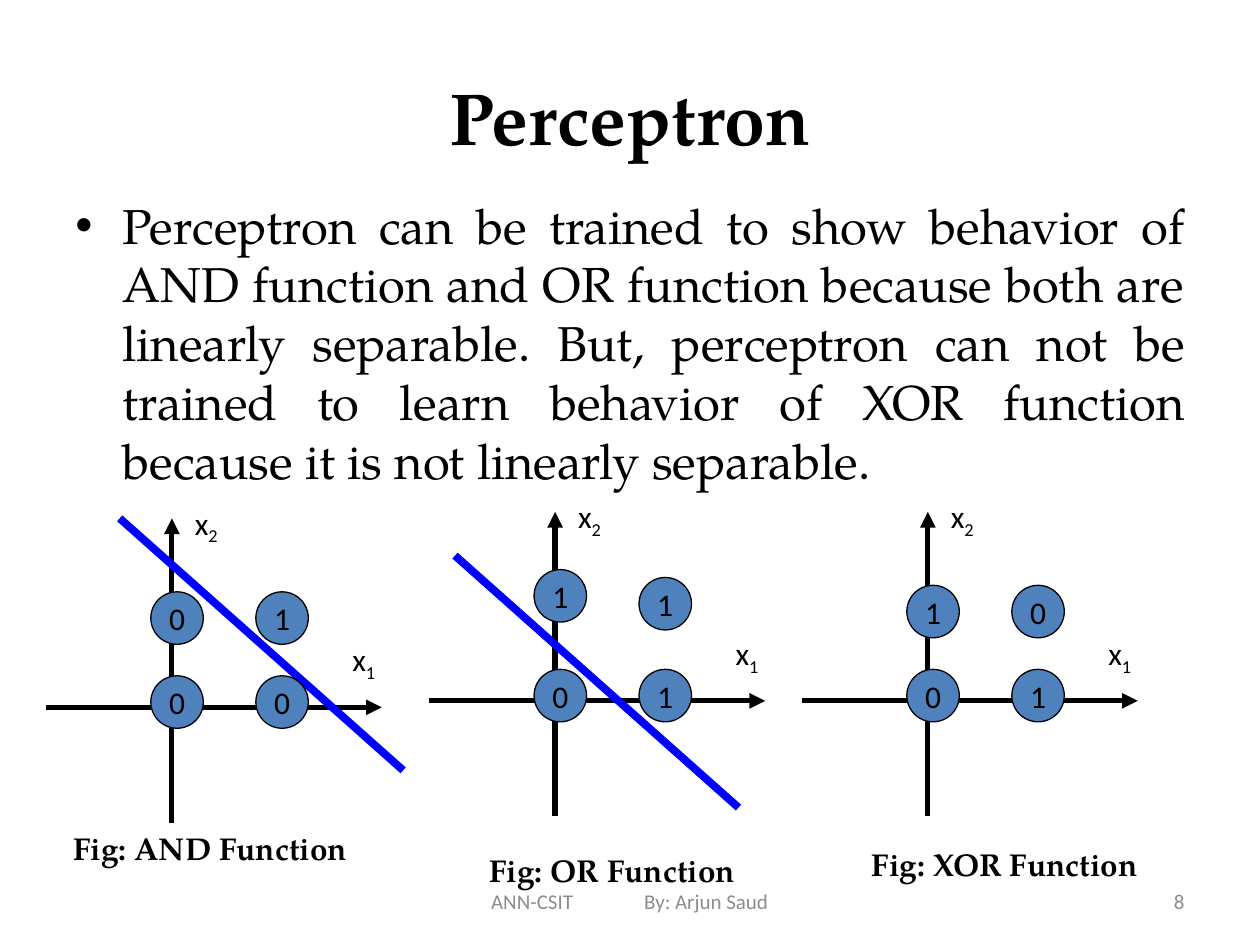
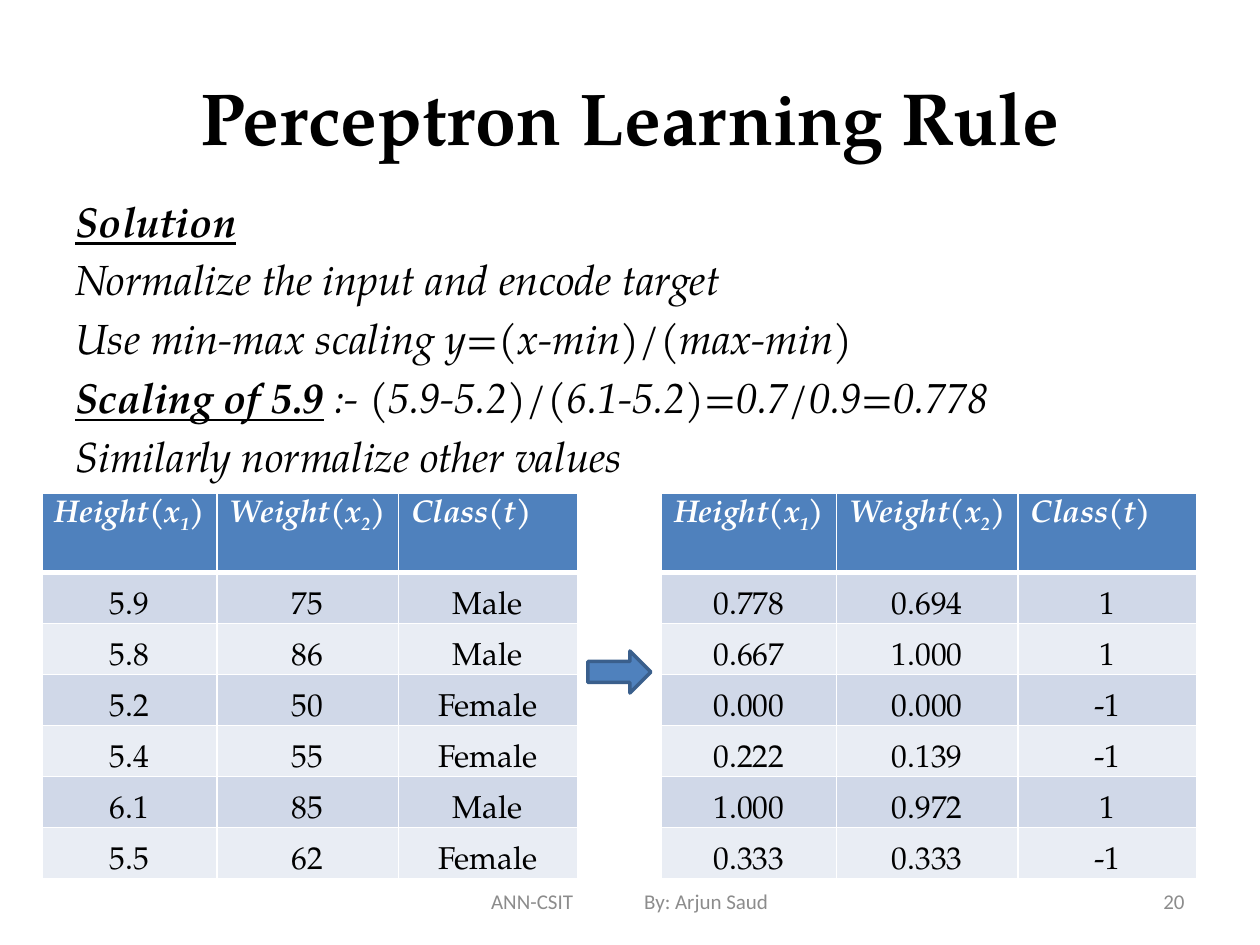
import pptx
import pptx.dml.color
import pptx.enum.shapes
import pptx.enum.text
import pptx.oxml
import pptx.oxml.ns
import pptx.util

Pt = pptx.util.Pt
RGBColor = pptx.dml.color.RGBColor
ALIGN = pptx.enum.text.PP_ALIGN
ANCHOR = pptx.enum.text.MSO_ANCHOR
SHAPE = pptx.enum.shapes.MSO_SHAPE

BLACK = RGBColor(0x00, 0x00, 0x00)
WHITE = RGBColor(0xFF, 0xFF, 0xFF)
GRAY = RGBColor(0x8C, 0x8C, 0x8C)
ACCENT = RGBColor(0x4F, 0x81, 0xBD)
ACCENT_DARK = RGBColor(0x3A, 0x5F, 0x8C)
BOUNDARY_BLUE = RGBColor(0x00, 0x00, 0xFF)
BANDS = (RGBColor(0xD0, 0xD8, 0xE8), RGBColor(0xE9, 0xED, 0xF4))

SERIF = "TeX Gyre Pagella"
SANS = "Calibri"
BODY_BOX = (36, 108, 648, 396)
COLUMN_WIDTHS = (100, 103.7, 102.2)
HEADER_HEIGHT = 45
ROW_HEIGHT = 29.2
HEADERS = (("Height(x", "1", ")"), ("Weight(x", "2", ")"), ("Class(t)",))


def points(*lengths):
    return [Pt(length) for length in lengths]


def add_xml(parent, tag, index=None, **attributes):
    """Add a DrawingML child, at the end unless an index is given."""
    child = pptx.oxml.parse_xml(f"<a:{tag} {pptx.oxml.ns.nsdecls('a')}/>")
    for name, value in attributes.items():
        child.set(name, str(value))
    parent.insert(len(parent) if index is None else index, child)
    return child


def set_font(font, name, size, color=BLACK, bold=False, italic=False):
    font.name, font.size = name, Pt(size)
    font.bold, font.italic = bold, italic
    font.color.rgb = color


def add_runs(paragraph, texts):
    """Write the texts as runs, every second one as a subscript."""
    for position, text in enumerate(texts):
        run = paragraph.add_run()
        run.text = text
        if position % 2:
            run.font._element.set("baseline", "-25000")


def add_text_box(slide, box, wrap=True, anchor=ANCHOR.TOP):
    frame = slide.shapes.add_textbox(*points(*box)).text_frame
    frame.word_wrap = wrap
    frame.vertical_anchor = anchor
    return frame


def add_line(slide, start, end, color, width, arrow=False):
    line = slide.shapes.add_connector(
        pptx.enum.shapes.MSO_CONNECTOR.STRAIGHT, *points(*start, *end))
    line.line.color.rgb = color
    line.line.width = Pt(width)
    if arrow:
        add_xml(line.line._get_or_add_ln(), "tailEnd", type="triangle")
    add_xml(line._element.spPr, "effectLst")


def add_filled_shape(slide, kind, box, line_color, line_width):
    shape = slide.shapes.add_shape(kind, *points(*box))
    shape.shadow.inherit = False
    shape.fill.solid()
    shape.fill.fore_color.rgb = ACCENT
    shape.line.color.rgb = line_color
    shape.line.width = Pt(line_width)
    return shape


def add_footer(slide, number):
    frame = add_text_box(slide, (246.2, 500.4, 228.2, 28.8), anchor=ANCHOR.MIDDLE)
    frame.margin_left = Pt(34.5)
    credit = frame.paragraphs[0]
    credit.text = "ANN-CSIT\tBy: Arjun Saud"
    tabs = add_xml(credit._p.get_or_add_pPr(), "tabLst")
    add_xml(tabs, "tab", pos=Pt(87.4), algn="l")
    set_font(credit.font, SANS, 12, GRAY)

    frame = add_text_box(slide, (516.2, 500.4, 167.8, 28.8), anchor=ANCHOR.MIDDLE)
    page = frame.paragraphs[0]
    page.text = str(number)
    page.alignment = ALIGN.RIGHT
    set_font(page.font, SANS, 12, GRAY)


def add_titled_slide(presentation, title, number):
    slide = presentation.slides.add_slide(presentation.slide_layouts[5])
    shape = slide.shapes.title
    shape.left, shape.top, shape.width, shape.height = points(36, 21.6, 648, 90)
    frame = shape.text_frame
    frame.text = title
    frame.vertical_anchor = ANCHOR.MIDDLE
    paragraph = frame.paragraphs[0]
    paragraph.alignment = ALIGN.CENTER
    set_font(paragraph.font, SERIF, 42, bold=True)
    add_footer(slide, number)
    return slide


def add_bullet(slide, text):
    paragraph = add_text_box(slide, BODY_BOX).paragraphs[0]
    paragraph.text = text
    paragraph.alignment = ALIGN.JUSTIFY
    paragraph.space_before = Pt(5.6)
    properties = paragraph._p.get_or_add_pPr()
    properties.set("marL", str(Pt(27)))
    properties.set("indent", str(Pt(-27)))
    add_xml(properties, "buFont", typeface="Arial")
    add_xml(properties, "buChar", char="•")
    set_font(paragraph.font, SERIF, 28)


def add_solution(slide, lines):
    """Write lines of an underlined lead and the plain text after it."""
    frame = add_text_box(slide, BODY_BOX)
    for position, (lead, rest) in enumerate(lines):
        paragraph = frame.add_paragraph() if position else frame.paragraphs[0]
        paragraph.alignment = ALIGN.JUSTIFY
        paragraph.space_before = Pt(4.8)
        set_font(paragraph.font, SERIF, 24, italic=True)
        if lead:
            run = paragraph.add_run()
            run.text = lead
            run.font.bold = run.font.underline = True
        if rest:
            paragraph.add_run().text = rest


def add_function_plot(slide, left, top, name, outputs, upper_tops, caption_at,
                      boundary_at=None):
    """Draw a truth table on axes; outputs run upper pair, then lower pair."""
    def at(x, y):
        return left + x, top + y

    add_line(slide, at(72, 174), at(72, 0), BLACK, 3, arrow=True)
    add_line(slide, at(0, 108), at(192, 108), BLACK, 3, arrow=True)
    for index, place in (("1", (168, 66.2)), ("2", (78, -12))):
        frame = add_text_box(slide, (*at(*place), 35.3, 36), wrap=False)
        frame.auto_size = pptx.enum.text.MSO_AUTO_SIZE.SHAPE_TO_FIT_TEXT
        add_runs(frame.paragraphs[0], ("x", index))
        set_font(frame.paragraphs[0].font, SANS, 18)

    if boundary_at:
        x, y = boundary_at
        add_line(slide, at(x, y), at(x + 162, y + 144), BOUNDARY_BLUE, 4.5)

    for position, output in enumerate(outputs):
        row, column = divmod(position, 2)
        y = 90 if row else upper_tops[column]
        circle = add_filled_shape(
            slide, SHAPE.OVAL, (*at(60 + 60 * column, y), 30, 30), BLACK, 0.75)
        circle.text_frame.word_wrap = False
        circle.text_frame.vertical_anchor = ANCHOR.MIDDLE
        paragraph = circle.text_frame.paragraphs[0]
        paragraph.text = output
        paragraph.alignment = ALIGN.CENTER
        set_font(paragraph.font, SANS, 18)

    caption = add_text_box(slide, (*at(*caption_at), 173.5, 28.8)).paragraphs[0]
    caption.text = f"Fig: {name} Function"
    set_font(caption.font, SERIF, 18, bold=True)


def format_cell(cell, fill, bottom_width):
    properties = cell._tc.get_or_add_tcPr()
    widths = {"lnL": 1, "lnR": 1, "lnT": 1, "lnB": bottom_width}
    for index, (side, width) in enumerate(widths.items()):
        border = add_xml(properties, side, index, w=Pt(width))
        add_xml(add_xml(border, "solidFill"), "srgbClr", val=WHITE)
    cell.fill.solid()
    cell.fill.fore_color.rgb = fill


def add_data_table(slide, left, top, rows):
    heights = [HEADER_HEIGHT] + [ROW_HEIGHT] * len(rows)
    table = slide.shapes.add_table(
        len(heights), len(HEADERS),
        *points(left, top, sum(COLUMN_WIDTHS), sum(heights))).table
    for column, width in zip(table.columns, COLUMN_WIDTHS):
        column.width = Pt(width)
    for row, height in zip(table.rows, heights):
        row.height = Pt(height)

    for column, texts in enumerate(HEADERS):
        cell = table.cell(0, column)
        cell.margin_right = 0
        format_cell(cell, ACCENT, 3)
        paragraph = cell.text_frame.paragraphs[0]
        add_runs(paragraph, texts)
        set_font(paragraph.font, SERIF, 18, WHITE, bold=True, italic=True)

    for row, values in enumerate(rows, 1):
        for column, value in enumerate(values):
            cell = table.cell(row, column)
            cell.margin_left = cell.margin_right = cell.margin_top = Pt(0.72)
            cell.margin_bottom = 0
            cell.vertical_anchor = ANCHOR.BOTTOM
            format_cell(cell, BANDS[(row - 1) % 2], 1)
            paragraph = cell.text_frame.paragraphs[0]
            paragraph.text = value
            paragraph.alignment = ALIGN.CENTER
            set_font(paragraph.font, SERIF, 18)


def build_perceptron_slide(presentation):
    slide = add_titled_slide(presentation, "Perceptron", 8)
    add_bullet(slide, "Perceptron can be trained to show behavior of AND function and "
                      "OR function because both are linearly separable. But, perceptron "
                      "can not be trained to learn behavior of XOR function because it "
                      "is not linearly separable.")
    add_function_plot(slide, 26.2, 296.2, "AND", "0100", (42, 42), (8.5, 174), (42.2, 0))
    add_function_plot(slide, 245.2, 292.5, "OR", "1101", (33, 37.5), (27.2, 190), (14.8, 25))
    add_function_plot(slide, 458.2, 292.5, "XOR", "1001", (42, 42), (33, 187))


def build_learning_rule_slide(presentation):
    slide = add_titled_slide(presentation, "Perceptron Learning Rule", 20)
    add_solution(slide, (
        ("Solution", ""),
        ("", "Normalize the input and encode target"),
        ("", "Use min-max scaling y=(x-min)/(max-min)"),
        ("Scaling of 5.9", " :- (5.9-5.2)/(6.1-5.2)=0.7/0.9=0.778"),
        ("", "Similarly normalize other values"),
    ))
    add_data_table(slide, 24, 282, (
        ("5.9", "75", "Male"),
        ("5.8", "86", "Male"),
        ("5.2", "50", "Female"),
        ("5.4", "55", "Female"),
        ("6.1", "85", "Male"),
        ("5.5", "62", "Female"),
    ))
    add_data_table(slide, 378, 282, (
        ("0.778", "0.694", "1"),
        ("0.667", "1.000", "1"),
        ("0.000", "0.000", "-1"),
        ("0.222", "0.139", "-1"),
        ("1.000", "0.972", "1"),
        ("0.333", "0.333", "-1"),
    ))
    add_filled_shape(slide, SHAPE.RIGHT_ARROW, (336, 372, 36, 24), ACCENT_DARK, 2)


def main():
    presentation = pptx.Presentation()
    presentation.slide_width, presentation.slide_height = points(720, 540)
    build_perceptron_slide(presentation)
    build_learning_rule_slide(presentation)
    presentation.save("out.pptx")


if __name__ == "__main__":
    main()
